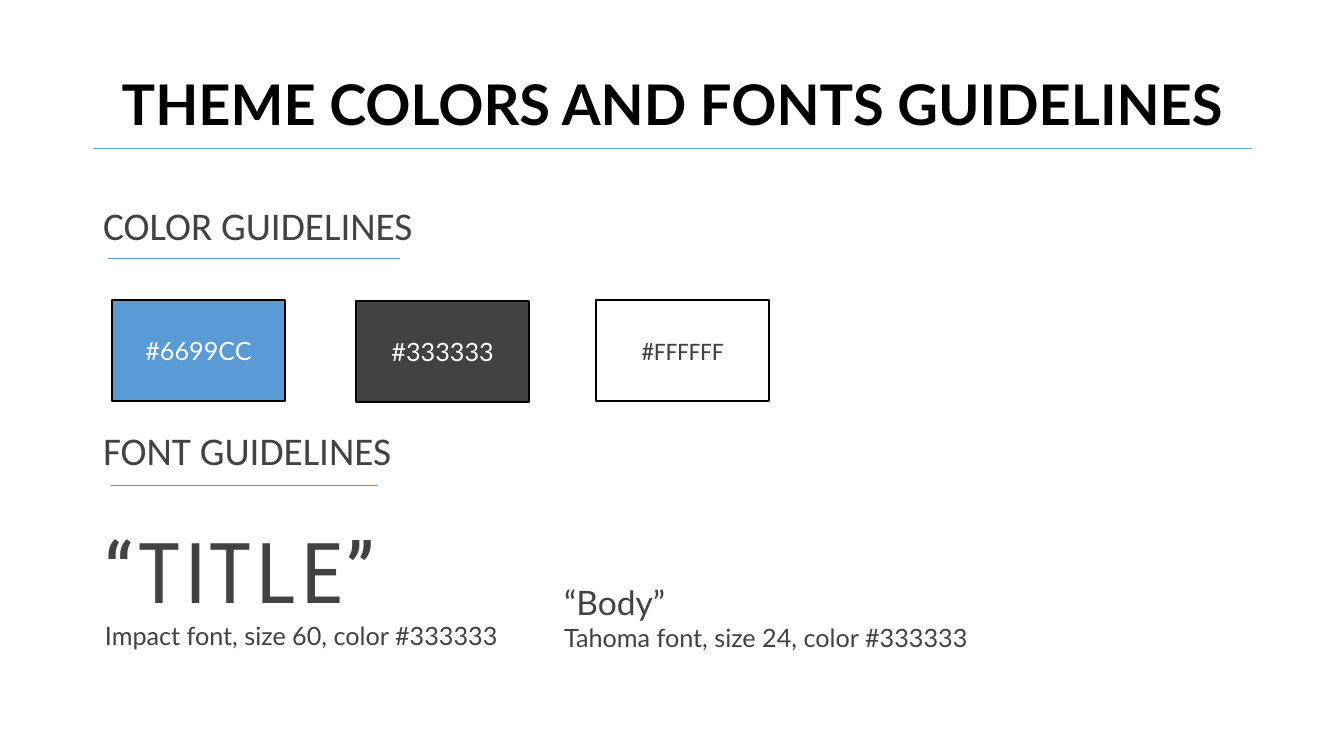
"""Builds a slide of theme color and font guidelines."""
import dataclasses

import pptx
import pptx.dml.color
import pptx.enum.shapes
import pptx.enum.text
import pptx.oxml.ns
import pptx.util
from lxml import etree


@dataclasses.dataclass(frozen=True)
class Theme:
    blue: str = "5B9BD5"
    dark: str = "424242"
    white: str = "FFFFFF"
    black: str = "000000"
    main_font: str = "Lato"
    heading_font: str = "Calibri"
    display_font: str = "Roboto Condensed"
    title_size: int = 40
    heading_size: int = 28
    caption_size: int = 18
    display_size: int = 60
    sample_size: int = 24


THEME = Theme()
EMU_PER_PX = 914400 / 100.8

TITLE = "THEME COLORS AND FONTS GUIDELINES"
TITLE_BOX = (79, 34, 1186, 146)
HEADINGS = [("COLOR GUIDELINES", 10), ("FONT GUIDELINES", 130)]
HEADINGS_BOX = (93, 202, 1159, 480)
RULES = [(93, 1252, 148), (108, 400, 258), (111, 377, 485)]
SWATCH_SIZE = (173, 101)
SWATCHES = [
    ("#6699CC", 112, 300, THEME.blue, THEME.white, THEME.main_font),
    ("#333333", 356, 301, THEME.dark, THEME.white, THEME.main_font),
    ("#FFFFFF", 596, 300, THEME.white, THEME.dark, THEME.heading_font),
]
SAMPLES = [
    ("“TITLE”", THEME.display_font, THEME.display_size, 3,
     "Impact font, size 60, color #333333", (95, 515, 431, 142)),
    ("“Body”", THEME.main_font, THEME.sample_size, 0,
     "Tahoma font, size 24, color #333333", (554, 577, 559, 82)),
]


def px(*lengths):
    return [pptx.util.Emu(round(length * EMU_PER_PX)) for length in lengths]


def rgb(color):
    return pptx.dml.color.RGBColor.from_string(color)


def style(paragraph, font, size, color, bold=False):
    paragraph.font.name = font
    paragraph.font.size = pptx.util.Pt(size)
    paragraph.font.color.rgb = rgb(color)
    paragraph.font.bold = bold


def place(placeholder, box, anchor):
    placeholder.left, placeholder.top, placeholder.width, placeholder.height = px(*box)
    placeholder.text_frame.auto_size = pptx.enum.text.MSO_AUTO_SIZE.NONE
    placeholder.text_frame.vertical_anchor = anchor


def add_title(slide):
    title = slide.shapes.title
    place(title, TITLE_BOX, pptx.enum.text.MSO_ANCHOR.MIDDLE)
    title.text_frame.text = TITLE
    paragraph = title.text_frame.paragraphs[0]
    paragraph.alignment = pptx.enum.text.PP_ALIGN.CENTER
    paragraph.line_spacing = 0.9
    style(paragraph, THEME.main_font, THEME.title_size, THEME.black, bold=True)


def add_headings(slide):
    body = slide.placeholders[1]
    place(body, HEADINGS_BOX, pptx.enum.text.MSO_ANCHOR.TOP)
    body.text_frame.text = "\n".join(text for text, _ in HEADINGS)
    for paragraph, (_, space_before) in zip(body.text_frame.paragraphs, HEADINGS):
        paragraph.line_spacing = 0.9
        paragraph.space_before = pptx.util.Pt(space_before)
        style(paragraph, THEME.heading_font, THEME.heading_size, THEME.dark)
        properties = paragraph._p.get_or_add_pPr()
        properties.set("marL", "0")
        properties.set("indent", "0")
        no_bullet = etree.Element(pptx.oxml.ns.qn("a:buNone"))
        properties.find(pptx.oxml.ns.qn("a:defRPr")).addprevious(no_bullet)


def add_rule(slide, left, right, y):
    rule = slide.shapes.add_connector(
        pptx.enum.shapes.MSO_CONNECTOR.STRAIGHT, *px(left, y, right, y))
    rule.line.color.rgb = rgb(THEME.blue)
    rule.line.width = pptx.util.Pt(0.5)
    etree.SubElement(rule._element.spPr, pptx.oxml.ns.qn("a:effectLst"))


def add_swatch(slide, code, left, top, fill, ink, font):
    swatch = slide.shapes.add_shape(
        pptx.enum.shapes.MSO_SHAPE.RECTANGLE, *px(left, top, *SWATCH_SIZE))
    swatch.shadow.inherit = False
    swatch.fill.solid()
    swatch.fill.fore_color.rgb = rgb(fill)
    swatch.line.color.rgb = rgb(THEME.black)
    swatch.line.width = pptx.util.Pt(1)
    swatch.text_frame.text = code
    paragraph = swatch.text_frame.paragraphs[0]
    paragraph.alignment = pptx.enum.text.PP_ALIGN.CENTER
    style(paragraph, font, THEME.caption_size, ink)


def add_sample(slide, sample, font, size, tracking, caption, box):
    frame = slide.shapes.add_textbox(*px(*box)).text_frame
    frame.word_wrap = True
    frame.auto_size = pptx.enum.text.MSO_AUTO_SIZE.SHAPE_TO_FIT_TEXT
    frame.text = f"{sample}\n{caption}"
    sample_line, caption_line = frame.paragraphs
    style(sample_line, font, size, THEME.dark)
    style(caption_line, THEME.main_font, THEME.caption_size, THEME.dark)
    if tracking:
        sample_line.runs[0]._r.get_or_add_rPr().set("spc", str(tracking * 100))


def main():
    deck = pptx.Presentation()
    deck.slide_width = pptx.util.Inches(13.33)
    deck.slide_height = pptx.util.Inches(7.5)
    slide = deck.slides.add_slide(deck.slide_layouts[1])
    add_title(slide)
    add_headings(slide)
    for rule in RULES:
        add_rule(slide, *rule)
    for swatch in SWATCHES:
        add_swatch(slide, *swatch)
    for sample in SAMPLES:
        add_sample(slide, *sample)
    deck.save("out.pptx")


if __name__ == "__main__":
    main()
